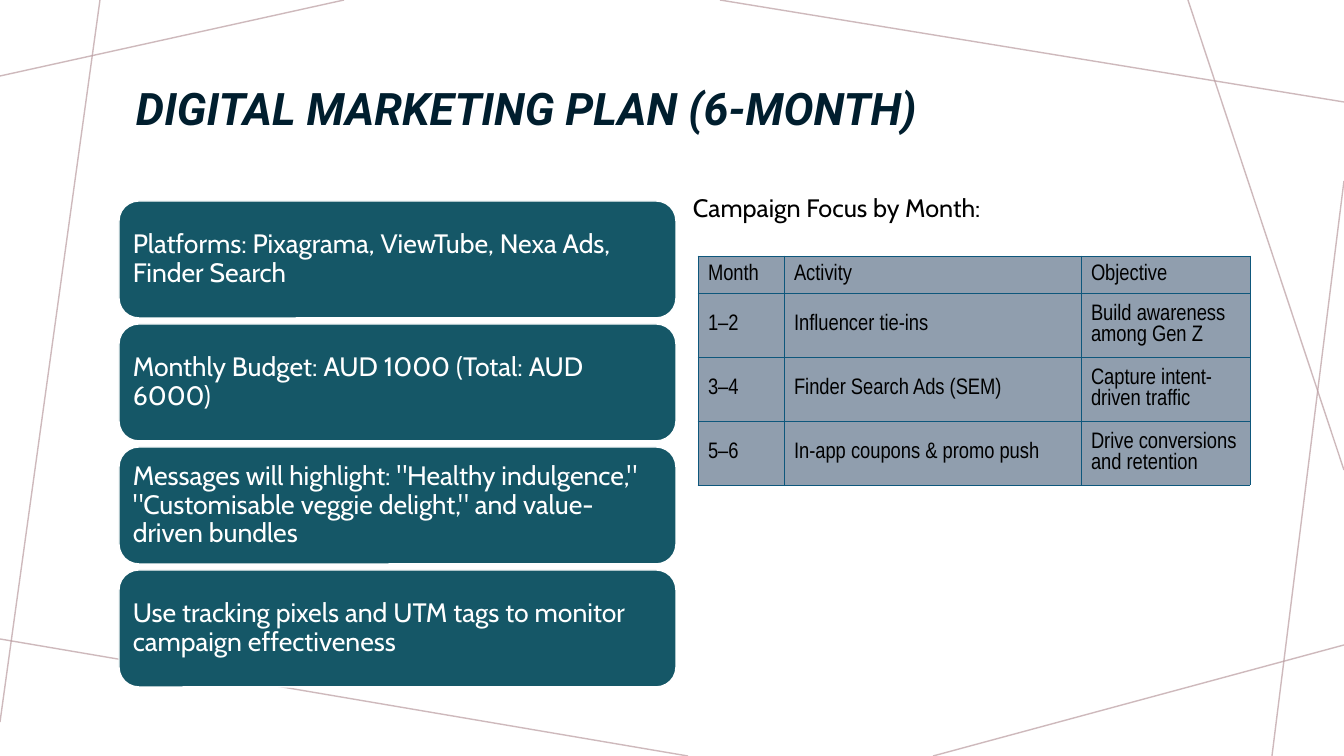
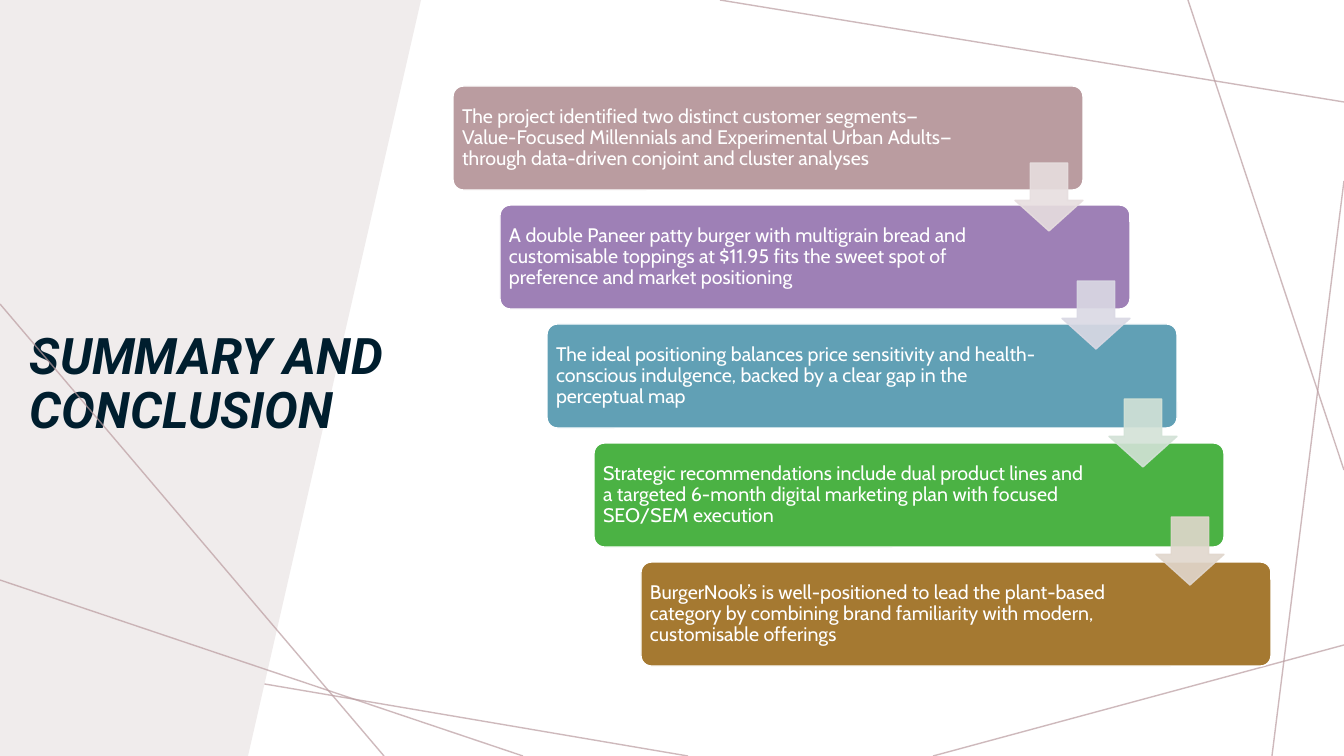
import dataclasses
from typing import NamedTuple, Optional

import lxml.etree
import pptx
import pptx.dml.color
import pptx.enum.shapes
import pptx.enum.text
import pptx.oxml.ns
import pptx.util

EMU_PER_PX = 914400 / 100.8
SHAPES = pptx.enum.shapes.MSO_SHAPE
ANCHORS = pptx.enum.text.MSO_ANCHOR
qn = pptx.oxml.ns.qn


@dataclasses.dataclass(frozen=True)
class Theme:
    ink: str = "001E2E"
    black: str = "000000"
    white: str = "FFFFFF"
    web_line: str = "BA9CA0"
    panel: str = "F0ECEC"
    plan_card: str = "155767"
    table_fill: str = "909EAE"
    table_border: str = "0E577C"
    title_font: str = "Roboto"
    body_font: str = "Cabin"
    table_font: str = "Arial Narrow"
    plan_title_pt: int = 32
    summary_title_pt: int = 36
    plan_card_pt: int = 19
    heading_pt: int = 18
    table_pt: int = 16
    summary_card_pt: int = 14
    line_spacing: float = 0.9
    web_opacity: int = 70
    arrow_opacity: int = 90


THEME = Theme()


class Box(NamedTuple):
    left: int
    top: int
    width: int
    height: int


class Insets(NamedTuple):
    left: int = 10
    top: int = 5
    right: int = 10
    bottom: int = 5


class Segment(NamedTuple):
    x1: int
    y1: int
    x2: int
    y2: int


class TextStyle(NamedTuple):
    font: str
    size: int
    color: str
    bold: bool = False
    italic: bool = False
    spacing: Optional[float] = None


@dataclasses.dataclass(frozen=True)
class Card:
    box: Box
    text: str
    fill: str
    style: TextStyle
    insets: Insets
    corner: float


class Step(NamedTuple):
    text: str
    fill: str
    arrow: Optional[str]


SHARED_WEB = [
    Segment(688, 756, 0, 639),
    Segment(1344, 645, 933, 756),
    Segment(1344, 181, 1272, 756),
    Segment(1344, 470, 1188, 0),
    Segment(1344, 102, 720, 0),
]
PLAN_WEB = [Segment(344, 0, 0, 76), Segment(100, 0, 0, 722)]
SUMMARY_WEB = [Segment(0, 304, 384, 756), Segment(523, 756, 0, 580)]

PLAN_POINTS = [
    "Platforms: Pixagrama, ViewTube, Nexa Ads, Finder Search",
    "Monthly Budget: AUD 1000 (Total: AUD 6000)",
    'Messages will highlight: "Healthy indulgence," "Customisable veggie delight," and value-driven bundles',
    "Use tracking pixels and UTM tags to monitor campaign effectiveness",
]
CAMPAIGN_ROWS = [
    ("Month", "Activity", "Objective"),
    ("1–2", "Influencer tie-ins", "Build awareness among Gen Z"),
    ("3–4", "Finder Search Ads (SEM)", "Capture intent-driven traffic"),
    ("5–6", "In-app coupons & promo push", "Drive conversions and retention"),
]
CAMPAIGN_WIDTHS = [86, 297, 169]
CAMPAIGN_HEIGHTS = [37, 64, 64, 64]

SUMMARY_STEPS = [
    Step("The project identified two distinct customer segments—Value-Focused Millennials and "
         "Experimental Urban Adults—through data-driven conjoint and cluster analyses",
         "BA9CA0", "E7DEDF"),
    Step("A double Paneer patty burger with multigrain bread and customisable toppings at $11.95 "
         "fits the sweet spot of preference and market positioning", "9E80B6", "DAD9E4"),
    Step("The ideal positioning balances price sensitivity and health-conscious indulgence, "
         "backed by a clear gap in the perceptual map", "61A0B5", "D3E2D7"),
    Step("Strategic recommendations include dual product lines and a targeted 6-month digital "
         "marketing plan with focused SEO/SEM execution", "4BB244", "E1D7CD"),
    Step("BurgerNook’s is well-positioned to lead the plant-based category by combining brand "
         "familiarity with modern, customisable offerings", "A57931", None),
]


def px(length: int) -> int:
    return round(length * EMU_PER_PX)


def emu_box(box: Box) -> list[int]:
    return [px(length) for length in box]


def rgb(color: str) -> pptx.dml.color.RGBColor:
    return pptx.dml.color.RGBColor.from_string(color)


def set_opacity(properties, percent: int) -> None:
    for color in properties.iter(qn("a:srgbClr")):
        alpha = lxml.etree.SubElement(color, qn("a:alpha"))
        alpha.set("val", str(percent * 1000))


def write_text(frame, text: str, style: TextStyle) -> None:
    paragraph = frame.paragraphs[0]
    paragraph.alignment = pptx.enum.text.PP_ALIGN.LEFT
    if style.spacing:
        paragraph.line_spacing = style.spacing
    run = paragraph.add_run()
    run.text = text
    run.font.name = style.font
    run.font.size = pptx.util.Pt(style.size)
    run.font.bold = style.bold
    run.font.italic = style.italic
    run.font.color.rgb = rgb(style.color)


def fill_frame(frame, text: str, style: TextStyle, anchor, insets: Insets) -> None:
    frame.word_wrap = True
    frame.vertical_anchor = anchor
    frame.margin_left, frame.margin_top, frame.margin_right, frame.margin_bottom = map(px, insets)
    write_text(frame, text, style)


def add_text(slide, box: Box, text: str, style: TextStyle,
             anchor=ANCHORS.TOP, insets: Insets = Insets()) -> None:
    fill_frame(slide.shapes.add_textbox(*emu_box(box)).text_frame, text, style, anchor, insets)


def add_title(slide, box: Box, text: str, size: int,
              anchor=ANCHORS.TOP, insets: Insets = Insets()) -> None:
    style = TextStyle(THEME.title_font, size, THEME.ink, True, True, THEME.line_spacing)
    add_text(slide, box, text, style, anchor, insets)


def add_web(slide, segments: list[Segment]) -> None:
    for segment in segments:
        strand = slide.shapes.add_connector(
            pptx.enum.shapes.MSO_CONNECTOR.STRAIGHT, *map(px, segment))
        strand.line.color.rgb = rgb(THEME.web_line)
        strand.line.width = pptx.util.Pt(1)
        properties = strand.element.spPr
        set_opacity(properties, THEME.web_opacity)
        lxml.etree.SubElement(properties, qn("a:effectLst"))


def add_filled(slide, kind, box: Box, fill: str, outline: str):
    shape = slide.shapes.add_shape(kind, *emu_box(box))
    shape.shadow.inherit = False
    shape.fill.solid()
    shape.fill.fore_color.rgb = rgb(fill)
    shape.line.color.rgb = rgb(outline)
    shape.line.width = pptx.util.Pt(1)
    return shape


def add_card(slide, card: Card) -> None:
    shape = add_filled(slide, SHAPES.ROUNDED_RECTANGLE, card.box, card.fill, THEME.white)
    shape.adjustments[0] = card.corner
    fill_frame(shape.text_frame, card.text, card.style, ANCHORS.MIDDLE, card.insets)


def add_arrow(slide, box: Box, color: str) -> None:
    arrow = add_filled(slide, SHAPES.DOWN_ARROW, box, color, color)
    arrow.adjustments[0] = 0.55
    arrow.adjustments[1] = 0.45
    set_opacity(arrow.element.spPr, THEME.arrow_opacity)


def add_panel(slide) -> None:
    corners = [(px(x), px(y)) for x, y in [(421, 0), (248, 756), (0, 756)]]
    builder = slide.shapes.build_freeform(0, 0, scale=1.0)
    builder.add_line_segments(corners, close=True)
    panel = builder.convert_to_shape()
    panel.shadow.inherit = False
    panel.fill.solid()
    panel.fill.fore_color.rgb = rgb(THEME.panel)
    panel.line.fill.background()


def border_cell(cell) -> None:
    properties = cell._tc.get_or_add_tcPr()
    for side in ("a:lnL", "a:lnR", "a:lnT", "a:lnB"):
        border = lxml.etree.SubElement(properties, qn(side), w=str(pptx.util.Pt(0.5)))
        fill = lxml.etree.SubElement(border, qn("a:solidFill"))
        lxml.etree.SubElement(fill, qn("a:srgbClr"), val=THEME.table_border)


def add_campaign_table(slide, left: int, top: int) -> None:
    box = Box(left, top, sum(CAMPAIGN_WIDTHS), sum(CAMPAIGN_HEIGHTS))
    table = slide.shapes.add_table(
        len(CAMPAIGN_ROWS), len(CAMPAIGN_WIDTHS), *emu_box(box)).table
    table.first_row = False
    table.horz_banding = False
    for column, width in zip(table.columns, CAMPAIGN_WIDTHS):
        column.width = px(width)
    style = TextStyle(THEME.table_font, THEME.table_pt, THEME.black)
    for row, height, texts in zip(table.rows, CAMPAIGN_HEIGHTS, CAMPAIGN_ROWS):
        row.height = px(height)
        for cell, text in zip(row.cells, texts):
            border_cell(cell)
            cell.fill.solid()
            cell.fill.fore_color.rgb = rgb(THEME.table_fill)
            cell.vertical_anchor = ANCHORS.MIDDLE
            write_text(cell.text_frame, text, style)


def new_slide(presentation):
    slide = presentation.slides.add_slide(presentation.slide_layouts[6])
    slide.background.fill.solid()
    slide.background.fill.fore_color.rgb = rgb(THEME.white)
    return slide


def build_plan(presentation) -> None:
    slide = new_slide(presentation)
    add_web(slide, PLAN_WEB + SHARED_WEB)
    add_title(slide, Box(126, 58, 1092, 152), "DIGITAL MARKETING PLAN (6-MONTH)",
              THEME.plan_title_pt, ANCHORS.MIDDLE, Insets(bottom=52))
    style = TextStyle(THEME.body_font, THEME.plan_card_pt, THEME.white,
                      spacing=THEME.line_spacing)
    height, gap = 117, 6
    for index, point in enumerate(PLAN_POINTS):
        box = Box(119, 201 + index * (height + gap), 557, height)
        add_card(slide, Card(box, point, THEME.plan_card, style, Insets(8, 8, 8, 8), 0.17))
    add_text(slide, Box(683, 187, 574, 102), "Campaign Focus by Month:",
             TextStyle(THEME.body_font, THEME.heading_pt, THEME.black))
    add_campaign_table(slide, 698, 256)


def build_summary(presentation) -> None:
    slide = new_slide(presentation)
    add_web(slide, SHARED_WEB)
    add_panel(slide)
    add_title(slide, Box(20, 326, 447, 254), "SUMMARY AND CONCLUSION", THEME.summary_title_pt)
    add_web(slide, SUMMARY_WEB)
    style = TextStyle(THEME.body_font, THEME.summary_card_pt, THEME.white,
                      spacing=THEME.line_spacing)
    left, width, shift, arrow_size = 453, 630, 47, 68
    for index, step in enumerate(SUMMARY_STEPS):
        box = Box(left + index * shift, 86 + index * 119, width, 104)
        add_card(slide, Card(box, step.text, step.fill, style, Insets(6, 6, 124, 6), 0.1))
    for index, step in enumerate(SUMMARY_STEPS):
        if step.arrow:
            arrow_left = left + width - arrow_size + index * shift
            add_arrow(slide, Box(arrow_left, 163 + index * 118, arrow_size, arrow_size), step.arrow)


def main() -> None:
    presentation = pptx.Presentation()
    presentation.slide_width = px(1344)
    presentation.slide_height = px(756)
    build_plan(presentation)
    build_summary(presentation)
    presentation.save("out.pptx")


if __name__ == "__main__":
    main()
